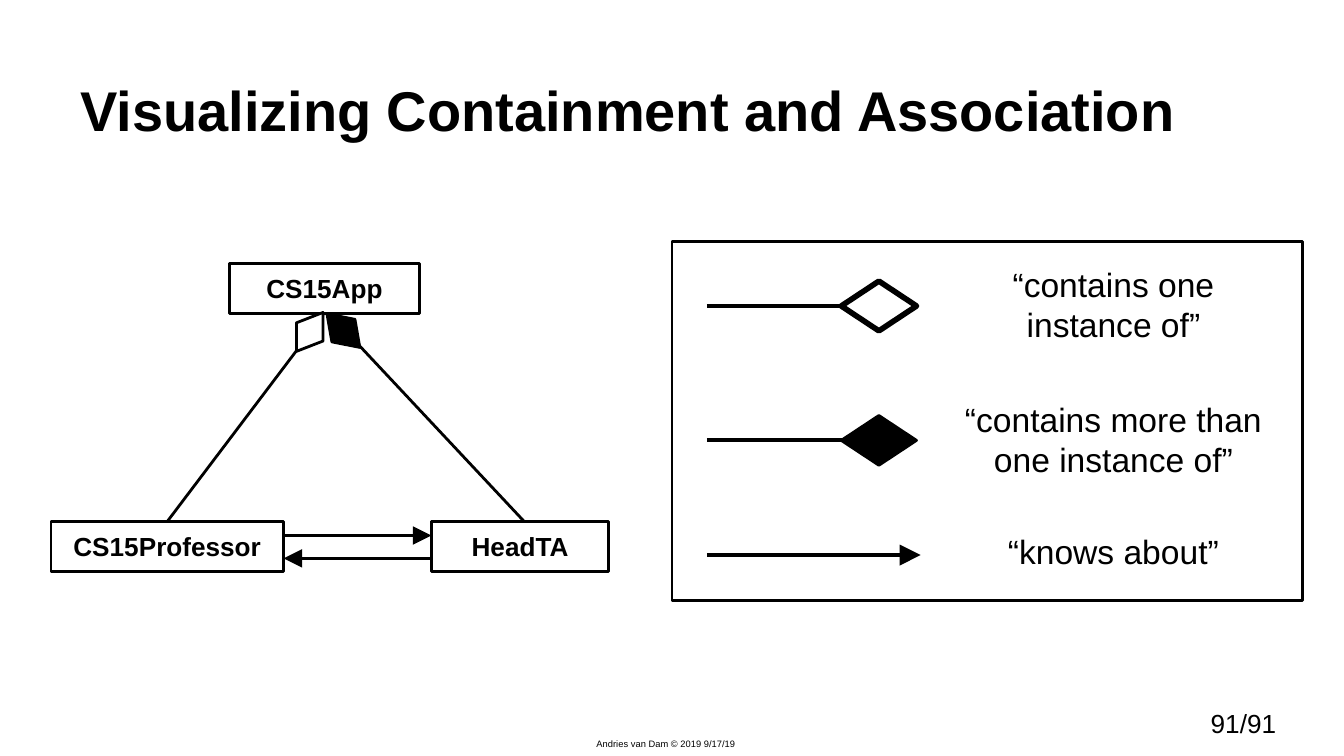
from dataclasses import dataclass
from typing import Optional

from lxml import etree
from pptx import Presentation
from pptx import util as u
from pptx.dml.color import RGBColor
from pptx.enum import shapes, text
from pptx.oxml import ns

BLACK = RGBColor(0x00, 0x00, 0x00)
WHITE = RGBColor(0xFF, 0xFF, 0xFF)
FONT = "Arial"
COLUMNS, ROWS = 100, 56.25
THIN, MEDIUM, THICK = 1.5, 2.25, 3

deck = Presentation()
deck.slide_width = u.Inches(10)
deck.slide_height = deck.slide_width * 9 // 16
slide = deck.slides.add_slide(deck.slide_layouts[6])


@dataclass(frozen=True)
class Area:
    col: float
    row: float
    cols: float
    rows: float

    @property
    def center(self) -> float:
        return self.col + self.cols / 2

    @property
    def right(self) -> float:
        return self.col + self.cols

    @property
    def bottom(self) -> float:
        return self.row + self.rows


@dataclass(frozen=True)
class Link:
    start: tuple[float, float]
    end: tuple[float, float]
    weight: float = THIN
    arrow: bool = True


@dataclass(frozen=True)
class Diamond:
    area: Area
    fill: RGBColor
    weight: float = THIN
    rotation: float = 0


@dataclass(frozen=True)
class LegendEntry:
    meaning: str
    row: float
    label: Area
    fill: Optional[RGBColor] = None
    weight: float = THIN


def across(col: float) -> int:
    return round(deck.slide_width * col / COLUMNS)


def down(row: float) -> int:
    return round(deck.slide_height * row / ROWS)


def place(area: Area) -> tuple[int, int, int, int]:
    return across(area.col), down(area.row), across(area.cols), down(area.rows)


def write(frame, words: str, size: float, bold: bool = False,
          align=text.PP_ALIGN.CENTER, anchor=text.MSO_ANCHOR.MIDDLE,
          inset: float = 0.1, spacing: Optional[float] = None) -> None:
    frame.word_wrap = True
    frame.vertical_anchor = anchor
    frame.margin_left = frame.margin_right = u.Inches(0.1)
    frame.margin_top = frame.margin_bottom = u.Inches(inset)
    paragraph = frame.paragraphs[0]
    paragraph.alignment = align
    if spacing:
        paragraph.line_spacing = spacing
    run = paragraph.add_run()
    run.text = words
    run.font.name, run.font.size, run.font.bold = FONT, u.Pt(size), bold
    run.font.color.rgb = BLACK


def draw_text(area: Area, words: str, size: float, **style) -> None:
    write(slide.shapes.add_textbox(*place(area)).text_frame, words, size, **style)


def draw_outline(kind, area: Area, weight: float, fill: Optional[RGBColor] = None):
    outline = slide.shapes.add_shape(kind, *place(area))
    outline.shadow.inherit = False
    if fill is None:
        outline.fill.background()
    else:
        outline.fill.solid()
        outline.fill.fore_color.rgb = fill
    outline.line.color.rgb = BLACK
    outline.line.width = u.Pt(weight)
    return outline


def draw_class(area: Area, name: str) -> None:
    box = draw_outline(shapes.MSO_SHAPE.RECTANGLE, area, THIN)
    write(box.text_frame, name, 14, bold=True)


def draw_diamond(diamond: Diamond) -> None:
    outline = draw_outline(shapes.MSO_SHAPE.FLOWCHART_DECISION,
                           diamond.area, diamond.weight, diamond.fill)
    outline.rotation = diamond.rotation


def draw_link(link: Link) -> None:
    (start_col, start_row), (end_col, end_row) = link.start, link.end
    connector = slide.shapes.add_connector(
        shapes.MSO_CONNECTOR.STRAIGHT,
        across(start_col), down(start_row), across(end_col), down(end_row))
    connector.line.color.rgb = BLACK
    connector.line.width = u.Pt(link.weight)
    if link.arrow:
        etree.SubElement(connector.line._get_or_add_ln(), ns.qn("a:tailEnd"),
                         type="triangle", w="lg", len="lg")
    etree.SubElement(connector._element.spPr, ns.qn("a:effectLst"))


def draw_legend_entry(entry: LegendEntry) -> None:
    known = entry.fill is None
    end = 68.5 if known else 65.1
    draw_link(Link((52.6, entry.row), (end, entry.row), MEDIUM, arrow=known))
    if not known:
        symbol = Area(62.6, entry.row - 1.85, 5.6, 3.7)
        draw_diamond(Diamond(symbol, entry.fill, entry.weight))
    draw_text(entry.label, entry.meaning, 18)


app = Area(17.1, 19.6, 14.1, 3.73)
professor = Area(3.8, 38.8, 17.3, 3.73)
head_ta = Area(32.1, 38.8, 13.2, 3.73)
classes = {"CS15App": app, "CS15Professor": professor, "HeadTA": head_ta}

links = [
    Link((professor.center, professor.row), (app.center, app.bottom)),
    Link((39, head_ta.row), (24.5, app.bottom)),
    Link((professor.right, 39.85), (head_ta.col, 39.85)),
    Link((head_ta.col, 41.55), (professor.right, 41.55)),
]

containments = [
    Diamond(Area(21.3, 23.5, 3.5, 2.4), WHITE, rotation=304.3),
    Diamond(Area(23.8, 23.4, 3.5, 2.4), BLACK, rotation=225.7),
]

legend = [
    LegendEntry("“contains one instance of”", 22.77,
                Area(73.2, 18.95, 19.3, 7.4), WHITE, THICK),
    LegendEntry("“contains more than one instance of”", 32.77,
                Area(70.7, 28.95, 24.3, 7.4), BLACK),
    LegendEntry("“knows about”", 41.3, Area(70.7, 37.3, 24.3, 7.4)),
]

corner = dict(align=text.PP_ALIGN.LEFT, anchor=text.MSO_ANCHOR.TOP, inset=0.05)
draw_text(Area(89.1, 52.13, 8.1, 5.8), "91/91", 14, **corner)
draw_text(Area(43.4, 54.47, 12.7, 1.9), "Andries van Dam © 2019 9/17/19", 5, **corner)
draw_outline(shapes.MSO_SHAPE.RECTANGLE, Area(50, 18, 46.9, 26.7), THIN)
draw_text(Area(5, 2.25, 90, 9.4), "Visualizing Containment and Association", 30,
          bold=True, align=text.PP_ALIGN.LEFT, anchor=text.MSO_ANCHOR.BOTTOM,
          spacing=0.9)

for class_name, class_area in classes.items():
    draw_class(class_area, class_name)
for relation in links:
    draw_link(relation)
for containment in containments:
    draw_diamond(containment)
for legend_entry in legend:
    draw_legend_entry(legend_entry)

deck.save("out.pptx")
